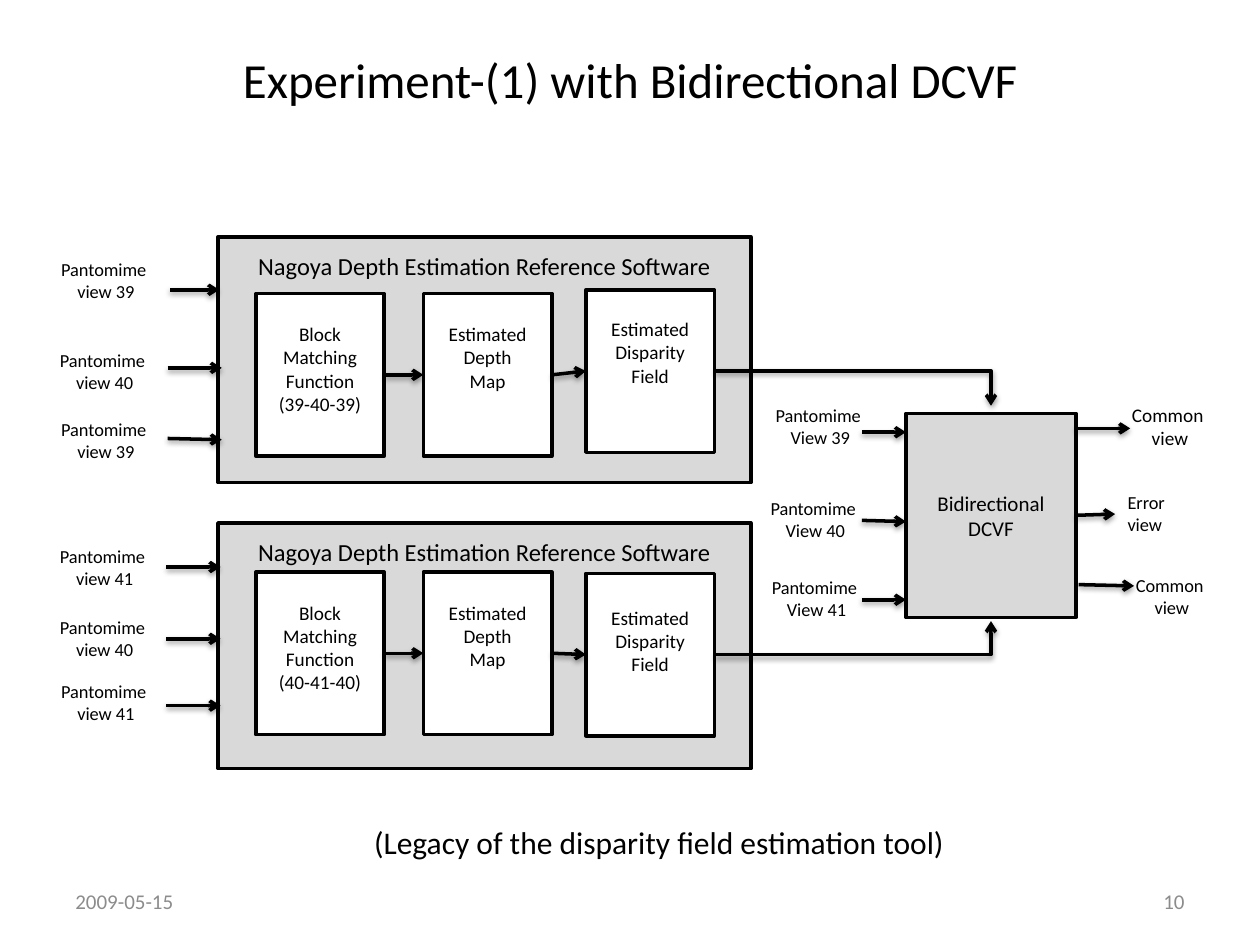
from lxml import etree
from pptx import Presentation
from pptx.dml.color import RGBColor
from pptx.enum import shapes, text
from pptx.oxml.ns import qn
from pptx.util import Inches, Pt

BLACK = RGBColor(0, 0, 0)
WHITE = RGBColor(255, 255, 255)
GRAY = RGBColor(0xD9, 0xD9, 0xD9)
FOOTER = RGBColor(0x8C, 0x8C, 0x8C)
LEFT, CENTER, RIGHT = text.PP_ALIGN.LEFT, text.PP_ALIGN.CENTER, text.PP_ALIGN.RIGHT
TOP, MIDDLE = text.MSO_ANCHOR.TOP, text.MSO_ANCHOR.MIDDLE
STRAIGHT, ELBOW = shapes.MSO_CONNECTOR.STRAIGHT, shapes.MSO_CONNECTOR.ELBOW
SIDE_LEFT, SIDE_RIGHT = 1, 3

TITLE = "Experiment-(1) with Bidirectional DCVF"
SOFTWARE = "Nagoya Depth Estimation Reference Software"
DCVF_BOX = (7.19, 3.28, 1.35, 1.62)
STAGE_SIZE = (1.02, 1.29)
STAGE_LEFTS = (2.03, 3.36, 4.65)

# top of the software box; stages as (lines, top, text inset); end of the bent arrow
PIPELINES = [
    {"top": 1.88, "bend_end": 3.22, "stages": [
        (["Block Matching", "Function", "(39-40-39)"], 2.33, 0.23),
        (["Estimated", "Depth", "Map"], 2.33, 0.23),
        (["Estimated", "Disparity", "Field"], 2.3, 0.22)]},
    {"top": 4.15, "bend_end": 4.93, "stages": [
        (["Block Matching", "Function", "(40-41-40)"], 4.54, 0.23),
        (["Estimated", "Depth", "Map"], 4.54, 0.23),
        (["Estimated", "Disparity", "Field"], 4.55, 0.26)]},
]

# second line of the label, label left, label top
INPUTS = [
    ("view 39", 0.33, 2.0), ("view 40", 0.32, 2.72), ("view 39", 0.33, 3.27),
    ("view 41", 0.32, 4.28), ("view 40", 0.32, 4.84), ("view 41", 0.33, 5.35),
    ("View 39", 6.0, 3.16), ("View 40", 5.96, 3.9), ("View 41", 5.97, 4.52),
]
# lines, box, size, alignment
OUTPUTS = [
    (["Common ", "view"], (8.88, 3.15, 0.81, 0.47), 11, CENTER),
    (["Error", "view"], (8.85, 3.85, 0.52, 0.45), 10.5, LEFT),
    (["Common ", "view"], (8.91, 4.51, 0.78, 0.45), 10.5, CENTER),
]
# x1, y1, x2, y2
ARROWS = [
    (1.35, 2.3, 1.74, 2.3), (1.33, 2.92, 1.76, 2.92), (1.33, 3.48, 1.76, 3.49),
    (1.32, 4.5, 1.75, 4.5), (1.32, 5.07, 1.75, 5.07), (1.32, 5.6, 1.75, 5.6),
    (6.84, 3.43, 7.19, 3.43), (6.84, 4.13, 7.19, 4.14), (6.84, 4.76, 7.19, 4.76),
    (8.54, 3.4, 8.97, 3.4), (8.56, 4.64, 9.0, 4.65),
]
# text, box, size, colour, alignment, anchor
NOTES = [
    ("(Legacy of the disparity field estimation tool)",
     (2.87, 6.48, 4.78, 0.4), 18, BLACK, LEFT, TOP),
    ("2009-05-15", (0.5, 6.95, 2.33, 0.4), 12, FOOTER, LEFT, MIDDLE),
    ("10", (7.17, 6.95, 2.33, 0.4), 12, FOOTER, RIGHT, MIDDLE),
]


def write(sp, lines, size, color=BLACK, align=CENTER, anchor=TOP, wrap=True):
    tf = sp.text_frame
    tf.word_wrap, tf.vertical_anchor = wrap, anchor
    for i, line in enumerate(lines):
        p = tf.paragraphs[0] if i == 0 else tf.add_paragraph()
        p.alignment = align
        r = p.add_run()
        r.text = line
        for name, value in {"name": "Calibri", "size": Pt(size)}.items():
            setattr(r.font, name, value)
        r.font.color.rgb = color


def add_label(s, lines, box, size, **fmt):
    write(s.shapes.add_textbox(*map(Inches, box)), lines, size, **fmt)


def add_box(s, box, fill, lines, size, inset=None):
    """Outlined rectangle; with an inset its text starts that far below the top."""
    sp = s.shapes.add_shape(shapes.MSO_SHAPE.RECTANGLE, *map(Inches, box))
    sp.shadow.inherit = False
    sp.fill.solid()
    sp.fill.fore_color.rgb = fill
    sp.line.color.rgb = BLACK
    sp.line.width = Pt(2)
    if inset is not None:
        sp.text_frame.margin_top = Inches(inset)
    write(sp, lines, size, anchor=MIDDLE if inset is None else TOP)
    return sp


def add_arrow(s, ends, kind=STRAIGHT, begin=None, end=None):
    """Arrow with a soft shadow; begin and end are (shape, side) joins."""
    c = s.shapes.add_connector(kind, *map(Inches, ends))
    if begin:
        c.begin_connect(*begin)
    if end:
        c.end_connect(*end)
    c.line.color.rgb = BLACK
    c.line.width = Pt(2)
    props = c._element.spPr
    if kind == ELBOW:
        props.find(qn("a:prstGeom")).set("prst", "bentConnector2")
    etree.SubElement(props.find(qn("a:ln")), qn("a:tailEnd"), type="arrow")
    effects = etree.SubElement(props, qn("a:effectLst"))
    shadow = etree.SubElement(effects, qn("a:outerShdw"), blurRad=str(Pt(3.1)),
                              dist=str(Pt(1.6)), dir="5400000", rotWithShape="0")
    color = etree.SubElement(shadow, qn("a:srgbClr"), val="000000")
    etree.SubElement(color, qn("a:alpha"), val="38000")


def add_pipeline(s, pipeline, target_x):
    add_box(s, (1.73, pipeline["top"], 4.23, 1.95), GRAY, [SOFTWARE], 14, 0.11)
    width, height = STAGE_SIZE
    previous = None
    for left, (lines, top, inset) in zip(STAGE_LEFTS, pipeline["stages"]):
        stage = add_box(s, (left, top, width, height), WHITE, lines, 11, inset)
        middle = top + height / 2
        if previous:
            add_arrow(s, (left - 0.3, middle, left, middle),
                      begin=(previous, SIDE_RIGHT), end=(stage, SIDE_LEFT))
        previous = stage
    add_arrow(s, (left + width, middle, target_x, pipeline["bend_end"]),
              ELBOW, begin=(previous, SIDE_RIGHT))


def main():
    prs = Presentation()
    prs.slide_width, prs.slide_height = Inches(10), Inches(7.5)
    s = prs.slides.add_slide(prs.slide_layouts[5])

    title = s.shapes.title
    title.left, title.top, title.width, title.height = map(Inches, (0.5, 0, 9, 1.25))
    write(title, [TITLE], 28, anchor=MIDDLE)

    dcvf = add_box(s, DCVF_BOX, GRAY, ["Bidirectional", "DCVF"], 12)
    for pipeline in PIPELINES:
        add_pipeline(s, pipeline, DCVF_BOX[0] + DCVF_BOX[2] / 2)
    for ends in ARROWS:
        add_arrow(s, ends)
    add_arrow(s, (8.54, 4.09, 8.85, 4.08), begin=(dcvf, SIDE_RIGHT))

    for view, left, top in INPUTS:
        add_label(s, ["Pantomime ", view], (left, top, 1.02, 0.45), 10.5)
    for lines, box, size, align in OUTPUTS:
        add_label(s, lines, box, size, align=align, wrap=False)
    for line, box, size, color, align, anchor in NOTES:
        add_label(s, [line], box, size, color=color, align=align, anchor=anchor)

    prs.save("out.pptx")


if __name__ == "__main__":
    main()
